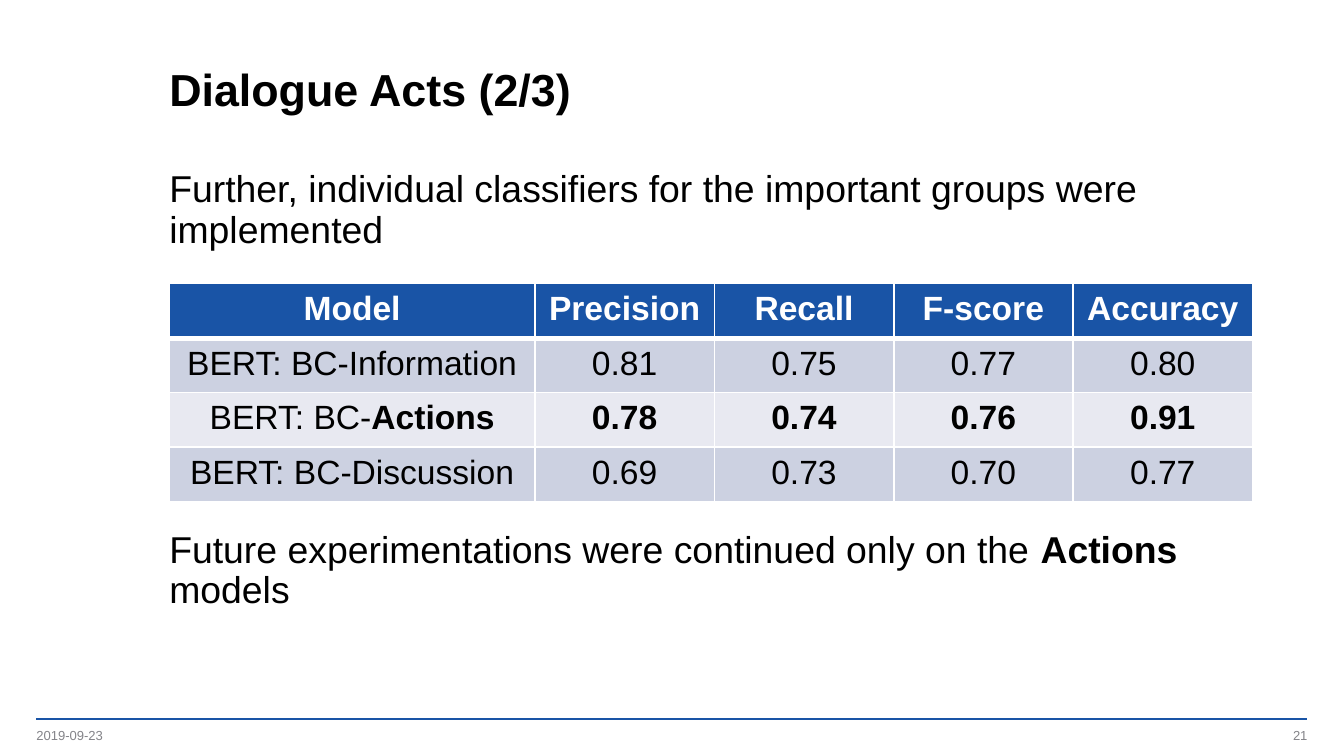
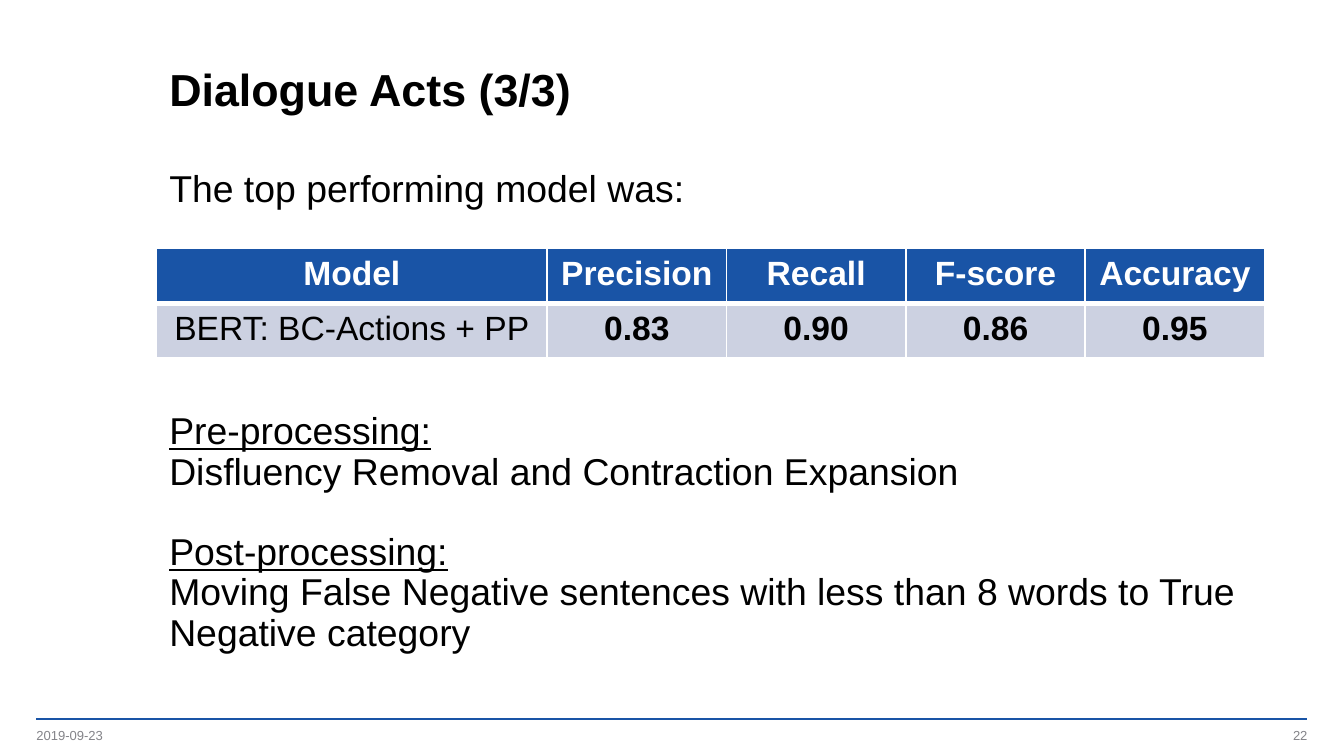
"""Build two slides on dialogue act classifiers."""
from lxml import etree
from pptx import Presentation
from pptx import util as u
from pptx.dml import color
from pptx.enum import shapes, text
from pptx.oxml import ns

COLOURS = {
    "accent": "1954A6",
    "ink": "000000",
    "paper": "FFFFFF",
    "muted": "848489",
    "odd": "CCD1E1",
    "even": "E8E9F1",
}
HEADER = ["Model", "Precision", "Recall", "F-score", "Accuracy"]
SCORE_WIDTH, ROW_HEIGHT = 3.39, 1.03
LEFT, CONTENT_WIDTH = 2.95, 21
FOOTER_LEFT, FOOTER_RIGHT, FOOTER_WIDTH = 0.69, 24.71, 5.72
FOOTER_TOP, FOOTER_HEIGHT = 13.74, 0.33


class Deck:
    def __init__(self):
        self.deck = Presentation()
        self.deck.slide_width, self.deck.slide_height = u.Cm(25.4), u.Cm(14.29)
        self.page = None

    def colour(self, name):
        return color.RGBColor.from_string(COLOURS[name])

    def add_page(self, title, number):
        self.page = self.deck.slides.add_slide(self.deck.slide_layouts[6])
        self.rule(FOOTER_LEFT, FOOTER_RIGHT, 13.59)
        frame = self.box(LEFT, 0.71, CONTENT_WIDTH, 1.88, middle=True)
        para = frame.paragraphs[0]
        para.line_spacing = u.Pt(30)
        self.spans(para, [(title, "bold")], 24)
        self.footer(FOOTER_LEFT, "2019-09-23", text.PP_ALIGN.LEFT)
        self.footer(FOOTER_RIGHT - FOOTER_WIDTH, str(number), text.PP_ALIGN.RIGHT)

    def rule(self, start, end, top):
        line = self.page.shapes.add_connector(
            shapes.MSO_CONNECTOR.STRAIGHT, u.Cm(start), u.Cm(top), u.Cm(end), u.Cm(top))
        line.line.color.rgb = self.colour("accent")
        line.line.width = u.Pt(1)
        etree.SubElement(line._element.spPr, ns.qn("a:effectLst"))

    def box(self, left, top, width, height, middle=False):
        box = self.page.shapes.add_textbox(u.Cm(left), u.Cm(top), u.Cm(width), u.Cm(height))
        frame = box.text_frame
        frame.word_wrap = True
        frame.vertical_anchor = text.MSO_ANCHOR.MIDDLE if middle else text.MSO_ANCHOR.TOP
        return frame

    def spans(self, para, parts, size, ink="ink"):
        for words, style in parts:
            span = para.add_run()
            span.text = words
            font = span.font
            font.name, font.size = "Arial", u.Pt(size)
            font.bold, font.underline = style == "bold", style == "underline"
            font.color.rgb = self.colour(ink)

    def footer(self, left, words, align):
        frame = self.box(left, FOOTER_TOP, FOOTER_WIDTH, FOOTER_HEIGHT, middle=True)
        frame.margin_left = frame.margin_right = frame.margin_top = frame.margin_bottom = 0
        para = frame.paragraphs[0]
        para.alignment = align
        self.spans(para, [(words, "plain")], 7, "muted")

    def body(self, paragraphs):
        frame = self.box(LEFT, 3.1, CONTENT_WIDTH, 10.03)
        for index, (space, parts) in enumerate(paragraphs):
            para = frame.add_paragraph() if index else frame.paragraphs[0]
            para.line_spacing, para.space_before = 0.9, u.Pt(space)
            self.spans(para, parts, 20)

    def borders(self, cell, row):
        props = cell._tc.get_or_add_tcPr()
        widths = {"L": 1, "R": 1, "T": 3 if row == 1 else 1, "B": 1 if row else 3}
        for side, width in widths.items():
            line = etree.SubElement(props, ns.qn(f"a:ln{side}"), w=str(u.Pt(width)))
            fill = etree.SubElement(line, ns.qn("a:solidFill"))
            etree.SubElement(fill, ns.qn("a:srgbClr"), val=COLOURS["paper"])

    def table(self, left, top, model_width, records):
        rows = [[[(name, "bold")] for name in HEADER]]
        for model, scores, style in records:
            rows.append([model] + [[(score, style)] for score in scores.split()])
        widths = [model_width] + [SCORE_WIDTH] * (len(HEADER) - 1)
        grid = self.page.shapes.add_table(
            len(rows), len(widths), u.Cm(left), u.Cm(top),
            u.Cm(sum(widths)), u.Cm(ROW_HEIGHT * len(rows))).table
        grid.horz_banding = False
        for column, width in zip(grid.columns, widths):
            column.width = u.Cm(width)
        for r, row in enumerate(rows):
            grid.rows[r].height = u.Cm(ROW_HEIGHT)
            shade = ("odd" if r % 2 else "even") if r else "accent"
            for c, parts in enumerate(row):
                cell = grid.cell(r, c)
                self.borders(cell, r)
                cell.fill.solid()
                cell.fill.fore_color.rgb = self.colour(shade)
                para = cell.text_frame.paragraphs[0]
                para.alignment = text.PP_ALIGN.CENTER
                self.spans(para, parts, 18, "ink" if r else "paper")

    def save(self):
        self.deck.save("out.pptx")


def main():
    deck = Deck()

    deck.add_page("Dialogue Acts (2/3)", 21)
    deck.body([
        (0, [("Further, individual classifiers for the important groups were implemented", "plain")]),
        (150, [("Future experimentations were continued only on the ", "plain"),
               ("Actions", "bold"), (" models", "plain")]),
    ])
    deck.table(3.2, 5.36, 6.91, [
        ([("BERT: BC-Information", "plain")], "0.81 0.75 0.77 0.80", "plain"),
        ([("BERT: BC-", "plain"), ("Actions", "bold")], "0.78 0.74 0.76 0.91", "bold"),
        ([("BERT: BC-Discussion", "plain")], "0.69 0.73 0.70 0.77", "plain"),
    ])

    deck.add_page("Dialogue Acts (3/3)", 22)
    deck.body([
        (0, [("The top performing model was:", "plain")]),
        (108, [("Pre-processing:", "underline")]),
        (0, [("Disfluency Removal and Contraction Expansion", "plain")]),
        (21.6, [("Post-processing:", "underline")]),
        (0, [("Moving False Negative sentences with less than 8 words "
              "to True Negative category", "plain")]),
    ])
    deck.table(2.96, 4.7, 7.38, [
        ([("BERT: BC-Actions + PP", "plain")], "0.83 0.90 0.86 0.95", "bold"),
    ])

    deck.save()


if __name__ == "__main__":
    main()
